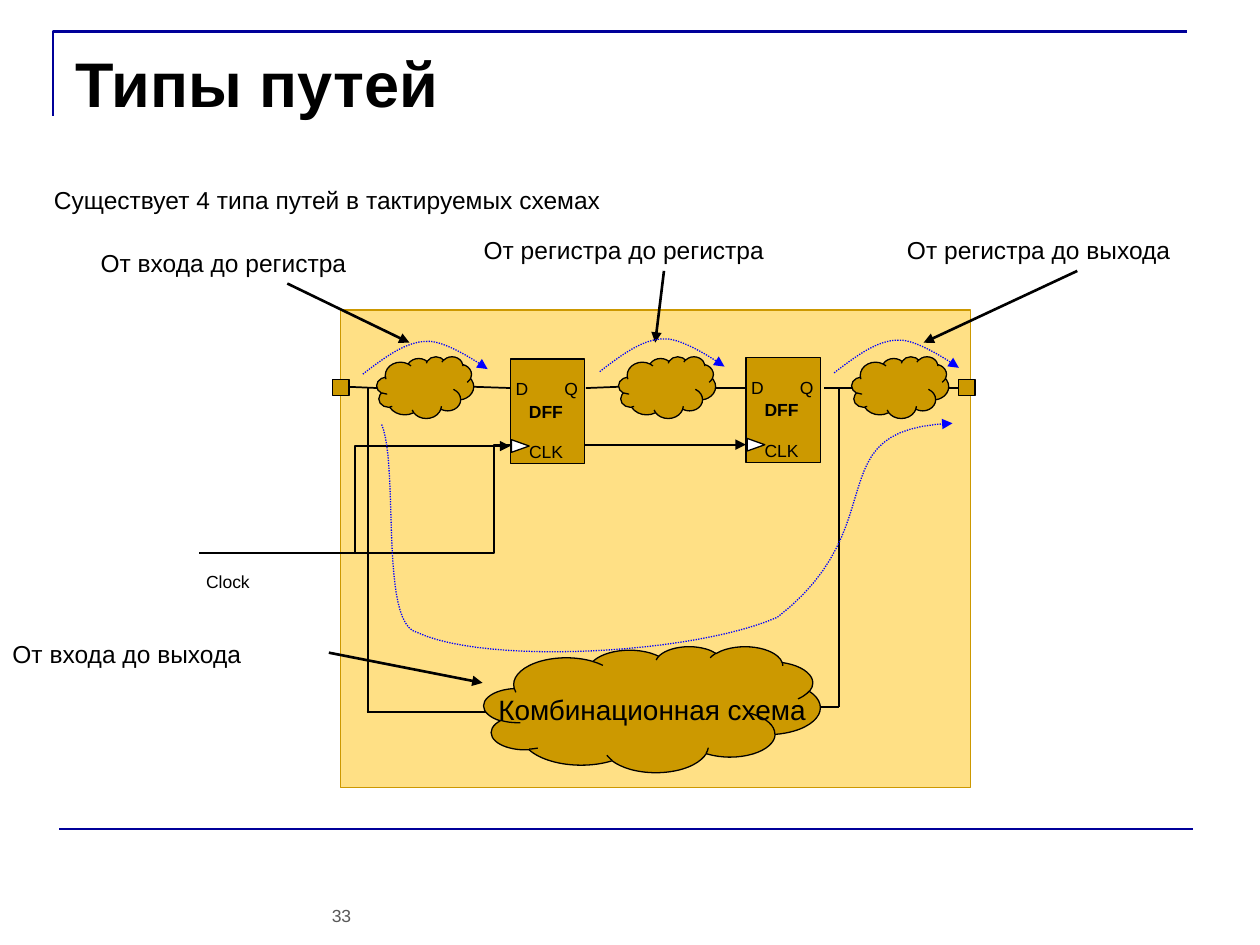
from lxml.etree import SubElement
from pptx import Presentation
from pptx.dml.color import RGBColor
from pptx.enum.dml import MSO_LINE
from pptx.enum.shapes import MSO_CONNECTOR, MSO_SHAPE
from pptx.enum.text import MSO_ANCHOR, PP_ALIGN
from pptx.oxml.ns import qn
from pptx.util import Inches, Pt

COLORS = {"black": "000000", "white": "FFFFFF", "navy": "000099", "blue": "0000FF",
          "gray": "595959", "panel": "FFE085", "panel_edge": "CC9800", "gold": "CC9900"}

TITLE = "Типы путей"
INTRO = "Существует 4 типа путей в тактируемых схемах"
PAGE_NUMBER = "33"
CLOUD_TEXT = "Комбинационная схема"

# label, its box, pointer start, pointer end
PATH_TYPES = [
    ("От входа до регистра", (0.7, 1.92, 3.16, 0.33), (2.28, 2.25), (3.25, 2.72)),
    ("От регистра до выхода", (7.1, 1.82, 2.9, 0.33), (8.55, 2.15), (7.33, 2.72)),
    ("От регистра до регистра", (3.74, 1.82, 3.06, 0.33), (5.27, 2.15), (5.2, 2.72)),
    ("От входа до выхода", (0, 5.02, 2.61, 0.33), (2.61, 5.18), (3.83, 5.42)),
]

LOGIC_CLOUDS = [(x, 2.83, 0.77, 0.49) for x in (2.99, 4.91, 6.76)]
BIG_CLOUD = (3.84, 5.13, 2.67, 1)
PINS = [(x, 3.01, 0.13, 0.13) for x in (2.64, 7.61)]
REGISTERS = [(4.05, 2.85), (5.92, 2.84)]
# text, offset inside the register, width, bold, centred
REGISTER_LABELS = [
    ("D", (0, 0.1), 0.14, False, True),
    ("Q", (0.33, 0.1), 0.28, False, False),
    ("CLK", (0.05, 0.6), 0.58, False, False),
    ("DFF", (0.05, 0.28), 0.67, True, False),
]

WIRES = [
    ((2.76, 3.07), (3, 3.08)), ((3.76, 3.07), (4.06, 3.08)),
    ((4.65, 3.08), (4.91, 3.07)), ((5.68, 3.08), (5.92, 3.08)),
    ((6.54, 3.08), (6.76, 3.08)), ((7.53, 3.08), (7.61, 3.08)),
    ((2.92, 3.07), (2.92, 5.65)), ((2.91, 5.65), (4.25, 5.65)),
    ((6.66, 3.08), (6.66, 5.61)), ((5.55, 5.61), (6.66, 5.61)),
]
CLOCK_WIRES = [((1.58, 4.39), (4.05, 3.54)), ((1.92, 4.39), (5.92, 3.53))]

# Bezier points: a start, then two controls and an end for each piece
ARC = [(0, 0.27), (0.17, 0.14), (0.34, 0.01), (0.51, 0.01),
       (0.67, 0), (0.99, 0.23), (0.99, 0.23)]
ARC_ORIGINS = [(2.88, 2.7), (4.76, 2.68), (6.62, 2.69)]
INPUT_TO_OUTPUT = [(3.03, 3.37), (3.17, 3.71), (3.01, 4.95), (3.31, 5.02),
                   (3.87, 5.28), (5.51, 5.19), (6.17, 4.9),
                   (7.13, 4.16), (6.46, 3.4), (7.56, 3.36)]


def rgb(color):
    return RGBColor.from_string(COLORS[color])


def style_line(line, color, width):
    line.color.rgb = rgb(color)
    line.width = Pt(width)


def add_arrowhead(line):
    SubElement(line._get_or_add_ln(), qn("a:tailEnd"), type="triangle")


def write(shape, text, size, color="black", bold=False,
          align=PP_ALIGN.LEFT, anchor=MSO_ANCHOR.TOP, wrap=True):
    frame = shape.text_frame
    frame.text = text
    frame.word_wrap = wrap
    frame.vertical_anchor = anchor
    paragraph = frame.paragraphs[0]
    paragraph.alignment = align
    font = paragraph.runs[0].font
    font.name, font.size, font.bold = "Arial", Pt(size), bold
    font.color.rgb = rgb(color)


def add_text(shapes, box, text, size, **options):
    write(shapes.add_textbox(*map(Inches, box)), text, size, **options)


def add_block(shapes, preset, box, fill="gold", edge="black"):
    block = shapes.add_shape(preset, *map(Inches, box))
    block.shadow.inherit = False
    block.fill.solid()
    block.fill.fore_color.rgb = rgb(fill)
    if edge:
        style_line(block.line, edge, 0.75)
    else:
        block.line.fill.background()
    return block


def add_wire(shapes, start, end, color="black", width=1.0, arrow=False,
             kind=MSO_CONNECTOR.STRAIGHT):
    wire = shapes.add_connector(kind, *map(Inches, start + end))
    style_line(wire.line, color, width)
    if arrow:
        add_arrowhead(wire.line)
    SubElement(wire._element.spPr, qn("a:effectLst"))


def add_polyline(shapes, points, color, width):
    start, *rest = [(Inches(x), Inches(y)) for x, y in points]
    builder = shapes.build_freeform(*start)
    builder.add_line_segments(rest, close=False)
    outline = builder.convert_to_shape()
    outline.shadow.inherit = False
    outline.fill.background()
    style_line(outline.line, color, width)
    return outline


def bezier_points(controls, steps=24):
    points = [controls[0]]
    for i in range(0, len(controls) - 1, 3):
        piece = controls[i:i + 4]
        for step in range(1, steps + 1):
            t = step / steps
            weights = ((1 - t) ** 3, 3 * t * (1 - t) ** 2, 3 * t * t * (1 - t), t ** 3)
            points.append(tuple(sum(w * p[axis] for w, p in zip(weights, piece))
                                for axis in (0, 1)))
    return points


def add_signal_path(shapes, controls):
    signal = add_polyline(shapes, bezier_points(controls), "blue", 0.75)
    signal.line.dash_style = MSO_LINE.ROUND_DOT
    add_arrowhead(signal.line)


def add_register(shapes, left, top):
    parts = shapes.add_group_shape().shapes
    add_block(parts, MSO_SHAPE.RECTANGLE, (left, top, 0.59, 0.83))
    clock_mark = add_block(parts, MSO_SHAPE.ISOSCELES_TRIANGLE,
                           (left + 0.03, top + 0.62, 0.1, 0.14), "white")
    clock_mark.rotation = 90
    for text, (dx, dy), width, bold, centred in REGISTER_LABELS:
        add_text(parts, (left + dx, top + dy, width, 0.27), text, 10, bold=bold,
                 align=PP_ALIGN.CENTER if centred else PP_ALIGN.LEFT, wrap=not centred)


def main():
    prs = Presentation()
    prs.slide_width, prs.slide_height = Inches(10), Inches(7.5)
    shapes = prs.slides.add_slide(prs.slide_layouts[6]).shapes

    add_polyline(shapes, [(0.42, 0.92), (0.42, 0.25), (9.42, 0.25)], "navy", 1.5)
    add_wire(shapes, (0.47, 6.58), (9.47, 6.58), "navy", 1.5)
    add_text(shapes, (2.5, 7.13, 0.42, 0.27), PAGE_NUMBER, 10, color="gray",
             align=PP_ALIGN.CENTER)
    add_text(shapes, (0.5, 0.3, 9, 1.25), TITLE, 36, bold=True)
    intro = add_block(shapes, MSO_SHAPE.RECTANGLE, (0.33, 1.42, 8.83, 0.4), "white", None)
    write(intro, INTRO, 14)

    panel = add_block(shapes, MSO_SHAPE.ROUNDED_RECTANGLE, (2.7, 2.46, 5, 3.79),
                      "panel", "panel_edge")
    panel.adjustments[0] = 0
    for start, end in CLOCK_WIRES:
        add_wire(shapes, start, end, arrow=True, kind=MSO_CONNECTOR.ELBOW)
    add_text(shapes, (1.44, 4.48, 0.64, 0.27), "Clock", 10, align=PP_ALIGN.RIGHT)
    for start, end in WIRES:
        add_wire(shapes, start, end)
    for box in PINS:
        add_block(shapes, MSO_SHAPE.RECTANGLE, box)
    for box in LOGIC_CLOUDS:
        add_block(shapes, MSO_SHAPE.CLOUD, box)
    for left, top in REGISTERS:
        add_register(shapes, left, top)
    big_cloud = add_block(shapes, MSO_SHAPE.CLOUD, BIG_CLOUD)
    write(big_cloud, CLOUD_TEXT, 16, align=PP_ALIGN.CENTER,
          anchor=MSO_ANCHOR.MIDDLE, wrap=False)
    # The text area of a cloud lies off centre; the margins bring the text back
    big_cloud.text_frame.margin_left = Inches(0.29)
    big_cloud.text_frame.margin_top = Inches(0.09)

    for text, box, start, end in PATH_TYPES:
        label = add_block(shapes, MSO_SHAPE.RECTANGLE, box, "white", None)
        write(label, text, 14, anchor=MSO_ANCHOR.MIDDLE)
        add_wire(shapes, start, end, width=1.5, arrow=True)
    for left, top in ARC_ORIGINS:
        add_signal_path(shapes, [(left + x, top + y) for x, y in ARC])
    add_signal_path(shapes, INPUT_TO_OUTPUT)

    prs.save("out.pptx")


if __name__ == "__main__":
    main()
